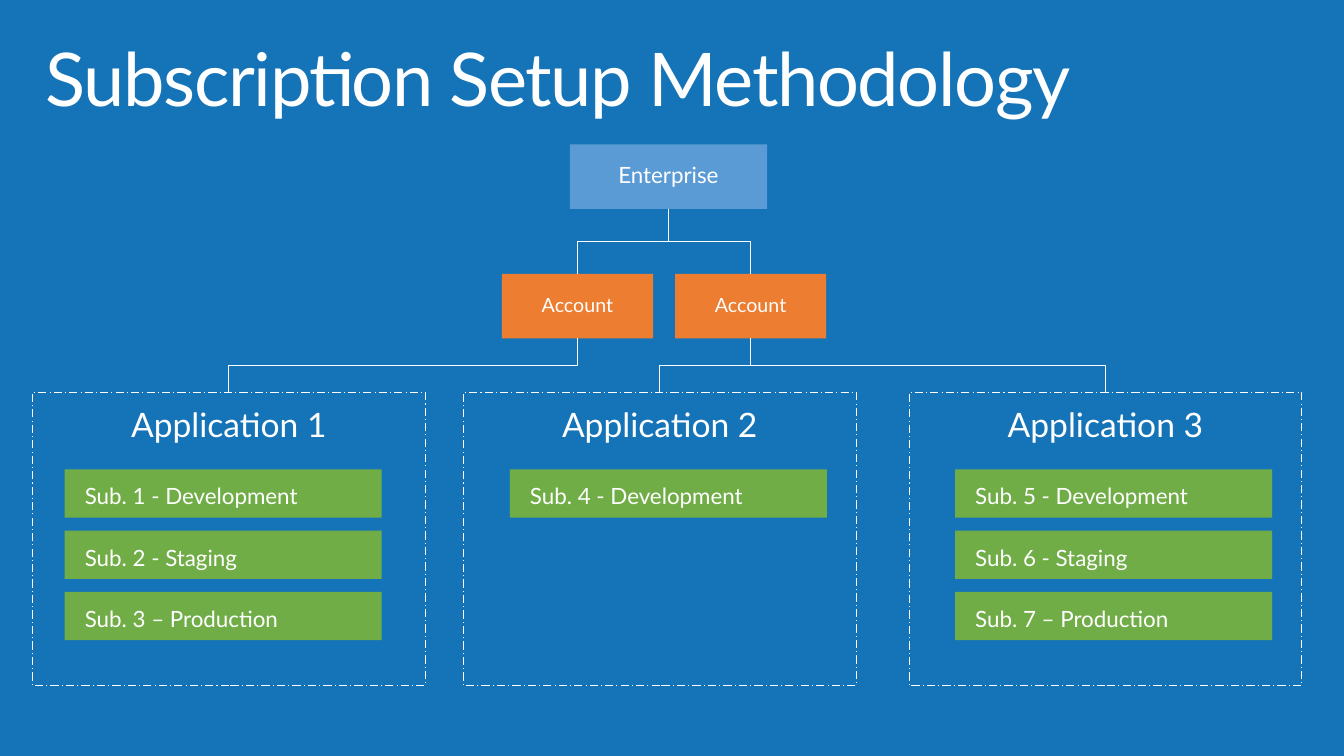
from lxml.etree import SubElement
from pptx import Presentation
from pptx.dml.color import RGBColor
from pptx.enum.dml import MSO_LINE
from pptx.enum.shapes import MSO_CONNECTOR, MSO_SHAPE
from pptx.enum.text import MSO_ANCHOR, MSO_AUTO_SIZE, PP_ALIGN
from pptx.oxml.ns import qn
from pptx.util import Pt

WHITE = "FFFFFF"


def paint(color_format, hex_color):
    color_format.rgb = RGBColor.from_string(hex_color)


def add_box(x, y, w, h, text, size, fill=None, align=PP_ALIGN.CENTER, anchor=MSO_ANCHOR.TOP):
    sp = s.shapes.add_shape(MSO_SHAPE.RECTANGLE, Pt(x), Pt(y), Pt(w), Pt(h))
    sp.shadow.inherit = False
    if fill:
        sp.fill.solid()
        paint(sp.fill.fore_color, fill)
        sp.line.fill.background()
    else:
        sp.fill.background()
        paint(sp.line.color, WHITE)
        sp.line.width = Pt(0.75)
        sp.line.dash_style = MSO_LINE.LONG_DASH_DOT
    tf = sp.text_frame
    tf.word_wrap = True
    tf.vertical_anchor = anchor
    tf.margin_left = tf.margin_right = Pt(14.4)
    tf.margin_top = tf.margin_bottom = Pt(11.5)
    p = tf.paragraphs[0]
    p.alignment = align
    p.line_spacing = 0.9
    r = p.add_run()
    r.text = text
    r.font.name = "Lato"
    r.font.size = Pt(size)
    paint(r.font.color, WHITE)
    return sp


prs = Presentation()
prs.slide_width, prs.slide_height = Pt(960), Pt(540)
s = prs.slides.add_slide(prs.slide_layouts[5])
s.background.fill.solid()
paint(s.background.fill.fore_color, "1574B8")

# Title
title = s.shapes.title
title.left, title.top, title.width, title.height = Pt(21), Pt(23), Pt(909), Pt(71)
tf = title.text_frame
tf.word_wrap = True
tf.auto_size = MSO_AUTO_SIZE.NONE
tf.vertical_anchor = MSO_ANCHOR.TOP
tf.margin_left = tf.margin_right = Pt(11.5)
tf.margin_top = tf.margin_bottom = Pt(7.2)
p = tf.paragraphs[0]
p.alignment = PP_ALIGN.LEFT
p.line_spacing = 0.9
r = p.add_run()
r.text = "Subscription Setup Methodology"
r.font.name = "Lato"
r.font.size = Pt(52.9)
paint(r.font.color, WHITE)
r.font._element.set("spc", "-100")

# Enterprise and its accounts
enterprise = add_box(407, 103.2, 141, 46, "Enterprise", 16, "5B9BD5", anchor=MSO_ANCHOR.MIDDLE)
accounts = [
    add_box(x, 195.7, 108, 46, "Account", 14, "ED7D31", anchor=MSO_ANCHOR.MIDDLE)
    for x in (358.5, 482.2)
]

# Applications with their subscriptions
applications = [
    (23.2, ["Sub. 1 - Development", "Sub. 2 - Staging", "Sub. 3 – Production"]),
    (331, ["Sub. 4 - Development"]),
    (649.3, ["Sub. 5 - Development", "Sub. 6 - Staging", "Sub. 7 – Production"]),
]
frames = []
for col, (x, subs) in enumerate(applications):
    for row, sub in enumerate(subs):
        add_box(46.2 + 318 * col, 335.3 + 43.7 * row, 226.5, 34.5, sub, 16, "70AD47", PP_ALIGN.LEFT)
    frames.append(add_box(x, 280.2, 280.6, 209.4, f"Application {col + 1}", 24))

# Elbow connectors, turned so that they leave and arrive vertically
links = [
    (enterprise, accounts[0]),
    (enterprise, accounts[1]),
    (accounts[0], frames[0]),
    (accounts[1], frames[1]),
    (accounts[1], frames[2]),
]
for parent, child in links:
    x1, y1 = parent.left + parent.width // 2, parent.top + parent.height
    x2, y2 = child.left + child.width // 2, child.top
    c = s.shapes.add_connector(MSO_CONNECTOR.ELBOW, x1, y1, x2, y2)
    c.begin_connect(parent, 2)
    c.end_connect(child, 0)
    c.width, c.height = y2 - y1, abs(x2 - x1)
    c.left = (x1 + x2 - c.width) // 2
    c.top = (y1 + y2 - c.height) // 2
    to_right = x2 > x1
    xfrm = c._element.spPr.find(qn("a:xfrm"))
    xfrm.set("rot", "16200000" if to_right else "5400000")
    xfrm.set("flipH", "1" if to_right else "0")
    xfrm.set("flipV", "0")
    paint(c.line.color, WHITE)
    c.line.width = Pt(0.75)
    SubElement(c._element.spPr, qn("a:effectLst"))

prs.save("out.pptx")
